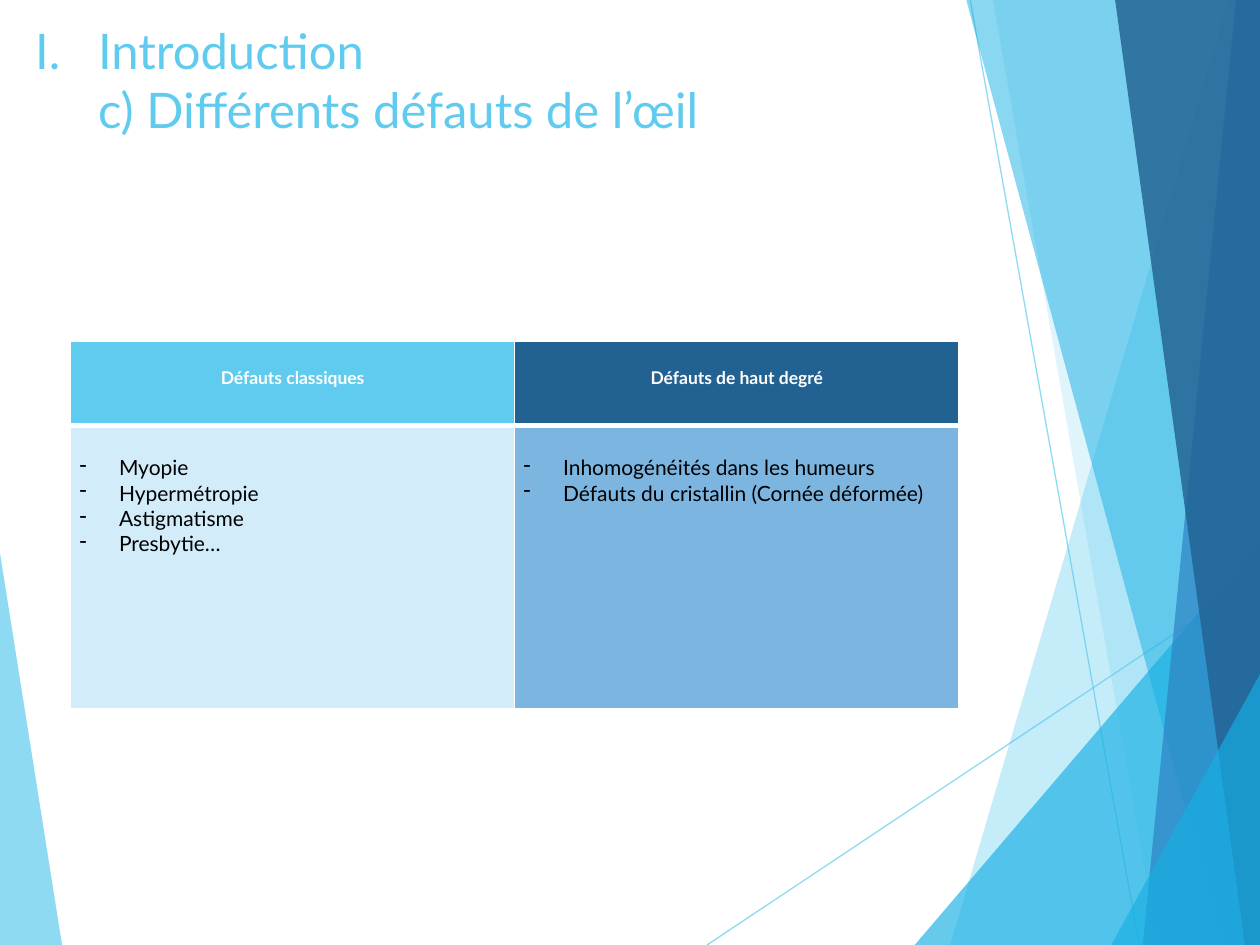
from dataclasses import dataclass

from lxml import etree
from pptx import Presentation
from pptx import util as u
from pptx.dml.color import RGBColor
from pptx.enum import shapes, text
from pptx.oxml import ns

Pt = u.Pt
WIDTH, HEIGHT = 720, 540


@dataclass(frozen=True)
class Theme:
    font: str = "Lato"
    sky: str = "5FCBEF"
    cyan: str = "17B0E4"
    blue: str = "2E83C3"
    navy: str = "226292"
    pale: str = "D2ECF9"
    soft: str = "7CB5E0"
    white: str = "FFFFFF"
    black: str = "000000"
    title_size: int = 28
    header_size: int = 10
    body_size: int = 12


THEME = Theme()


def add_element(parent, tag, **attributes):
    return etree.SubElement(parent, ns.qn(tag), attributes)


def set_color(fill, color, alpha=100):
    fill.solid()
    fill.fore_color.rgb = RGBColor.from_string(color)
    if alpha < 100:
        srgb = fill._xPr.find(".//" + ns.qn("a:srgbClr"))
        add_element(srgb, "a:alpha", val=str(alpha * 1000))


def style_font(font, size, color, bold=False):
    font.name, font.size, font.bold = THEME.font, Pt(size), bold
    font.color.rgb = RGBColor.from_string(color)


def add_shard(slide, points, color, alpha):
    start, *others = [(Pt(x), Pt(y)) for x, y in points]
    builder = slide.shapes.build_freeform(*start)
    builder.add_line_segments(others, close=True)
    shard = builder.convert_to_shape()
    shard.shadow.inherit = False
    set_color(shard.fill, color, alpha)
    shard.line.fill.background()


def add_ray(slide, start, end):
    ray = slide.shapes.add_connector(
        shapes.MSO_CONNECTOR.STRAIGHT, *map(Pt, start + end))
    ray.line.width = Pt(0.75)
    set_color(ray.line.fill, THEME.sky, 70)
    add_element(ray._element.spPr, "a:effectLst")


def add_backdrop(slide):
    # Left wedge and thin rays
    add_shard(slide, [(0, 316), (35.5, HEIGHT), (0, HEIGHT)], THEME.sky, 70)
    add_ray(slide, (404, HEIGHT), (WIDTH, 329.5))
    add_ray(slide, (554.4, 0), (651, HEIGHT))

    # Shards reaching the right edge: upper point, foot on the bottom edge
    shards = [
        ((702, 0), 543, THEME.sky, 36),
        ((567.4, 0), 661.7, THEME.sky, 20),
        ((WIDTH, 309), 522.7, THEME.cyan, 66),
        ((552.2, 0), 698.4, THEME.cyan, 50),
        ((706.3, 0), 653, THEME.blue, 70),
        ((637.2, 0), 711.4, THEME.navy, 82),
        ((WIDTH, 385.2), 635, THEME.cyan, 66),
    ]
    for top, foot, color, alpha in shards:
        corners = [(foot, HEIGHT), (WIDTH, HEIGHT), (WIDTH, top[1])]
        add_shard(slide, [top] + corners, color, alpha)


def add_title(slide, wording):
    title = slide.shapes.add_textbox(Pt(13), Pt(8), Pt(507.6), Pt(77.8))
    title.text_frame.word_wrap = True
    heading = title.text_frame.paragraphs[0]
    heading.text = wording
    tabs = add_element(heading._p.get_or_add_pPr(), "a:tabLst")
    add_element(tabs, "a:tab", pos=str(Pt(36)), algn="l")
    for run in heading.runs:
        style_font(run.font, THEME.title_size, THEME.title_color
                   if hasattr(THEME, "title_color") else THEME.sky)


def set_borders(cell, top, bottom):
    properties = cell._tc.get_or_add_tcPr()
    for side, width in zip("LRTB", (1, 1, top, bottom)):
        border = add_element(properties, f"a:ln{side}", w=str(Pt(width)))
        fill = add_element(border, "a:solidFill")
        add_element(fill, "a:srgbClr", val=THEME.white)


def add_dash(paragraph):
    properties = paragraph._p.get_or_add_pPr()
    properties.set("marL", str(Pt(22.5)))
    properties.set("indent", str(-Pt(22.5)))
    add_element(properties, "a:buChar", char="-")


def fill_cell(cell, lines, fill, color, size, header):
    set_borders(cell, top=1 if header else 3, bottom=3 if header else 1)
    set_color(cell.fill, fill)
    cell.margin_left = cell.margin_right = Pt(5.2)
    cell.margin_bottom = Pt(2.6)
    cell.margin_top = Pt(2.6 + 1.2 * size)  # text starts one line down
    cell.text_frame.text = "\n".join(lines)
    for paragraph in cell.text_frame.paragraphs:
        if header:
            paragraph.alignment = text.PP_ALIGN.CENTER
        else:
            add_dash(paragraph)
        for run in paragraph.runs:
            style_font(run.font, size, color, bold=header)


def add_defects_table(slide, columns):
    defects = slide.shapes.add_table(
        2, len(columns), Pt(40.3), Pt(195.1), Pt(507.6), Pt(210)).table
    defects.rows[0].height, defects.rows[1].height = Pt(48), Pt(162)
    for i, (heading, items, header_fill, body_fill) in enumerate(columns):
        fill_cell(defects.cell(0, i), [heading], header_fill,
                  THEME.white, THEME.header_size, header=True)
        fill_cell(defects.cell(1, i), items, body_fill,
                  THEME.black, THEME.body_size, header=False)


def main():
    deck = Presentation()
    deck.slide_width, deck.slide_height = Pt(WIDTH), Pt(HEIGHT)
    slide = deck.slides.add_slide(deck.slide_layouts[6])

    add_backdrop(slide)
    add_title(slide, "I.\tIntroduction\n\tc) Différents défauts de l’œil")
    add_defects_table(slide, [
        ("Défauts classiques",
         ["Myopie", "Hypermétropie", "Astigmatisme", "Presbytie…"],
         THEME.sky, THEME.pale),
        ("Défauts de haut degré",
         ["Inhomogénéités dans les humeurs",
          "Défauts du cristallin (Cornée déformée)"],
         THEME.navy, THEME.soft),
    ])
    deck.save("out.pptx")


if __name__ == "__main__":
    main()
